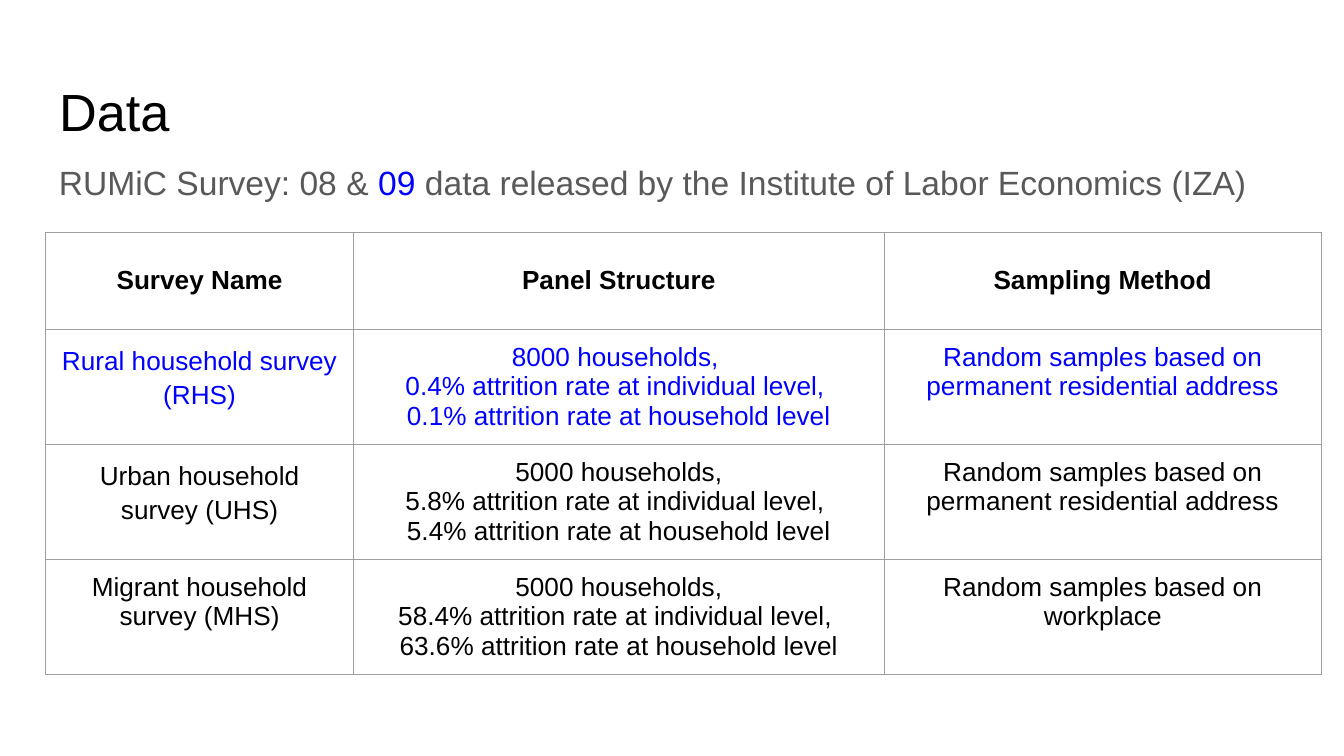
from lxml.etree import SubElement
from pptx import Presentation
from pptx.dml.color import RGBColor
from pptx.enum.text import MSO_ANCHOR, MSO_AUTO_SIZE, PP_ALIGN
from pptx.oxml.ns import qn
from pptx.util import Inches, Pt

BLACK, BLUE, GREY, BORDER = "000000", "0000FF", "595959", "9E9E9E"
INSET = Inches(0.1)
COLS = [2.29, 3.95, 3.25]
ROWS = [0.72, 0.79, 0.79, 0.72]
HEADERS = ["Survey Name", "Panel Structure", "Sampling Method"]
# Name, panel structure, sampling method, colour, line spacing of the name
SURVEYS = [
    ("Rural household survey (RHS)",
     ["8000 households, ", "0.4% attrition rate at individual level, ",
      "0.1% attrition rate at household level"],
     "Random samples based on permanent residential address", BLUE, 1.15),
    ("Urban household survey (UHS)",
     ["5000 households,", "5.8% attrition rate at individual level, ",
      "5.4% attrition rate at household level"],
     "Random samples based on permanent residential address", BLACK, 1.15),
    ("Migrant household survey (MHS)",
     ["5000 households,", "58.4% attrition rate at individual level, ",
      "63.6% attrition rate at household level"],
     "Random samples based on workplace", BLACK, 1.0),
]


def rgb(color):
    return RGBColor.from_string(color)


def write(p, text, size=14, color=BLACK, bold=False, align=PP_ALIGN.LEFT, spacing=1.0):
    p.alignment, p.line_spacing = align, spacing
    r = p.add_run()
    r.text = text
    r.font.name, r.font.size, r.font.bold = "Arial", Pt(size), bold
    r.font.color.rgb = rgb(color)


def set_frame(tf):
    tf.word_wrap, tf.auto_size = True, MSO_AUTO_SIZE.NONE
    tf.vertical_anchor = MSO_ANCHOR.TOP
    tf.margin_left = tf.margin_right = tf.margin_top = tf.margin_bottom = INSET


def add_title(s, x, y, w, h):
    title = s.shapes.title
    title.left, title.top, title.width, title.height = map(Inches, (x, y, w, h))
    set_frame(title.text_frame)
    write(title.text_frame.paragraphs[0], "Data", size=28)


def add_source_line(s, x, y, w, h):
    tf = s.shapes.add_textbox(*map(Inches, (x, y, w, h))).text_frame
    set_frame(tf)
    for text, color in [
        ("RUMiC Survey: 08 & ", GREY),
        ("09", BLUE),
        (" data released by the Institute of Labor Economics (IZA)", GREY),
    ]:
        write(tf.paragraphs[0], text, size=18, color=color, spacing=1.15)


def fill_cell(cell, lines, anchor=MSO_ANCHOR.TOP, **fmt):
    cell.margin_left = cell.margin_right = cell.margin_top = cell.margin_bottom = INSET
    cell.vertical_anchor = anchor
    tf = cell.text_frame
    for i, line in enumerate(lines):
        p = tf.add_paragraph() if i else tf.paragraphs[0]
        write(p, line, align=PP_ALIGN.CENTER, **fmt)
    # Borders come before the fill in the cell properties
    tcPr = cell._tc.get_or_add_tcPr()
    for side in ("lnL", "lnR", "lnT", "lnB"):
        ln = SubElement(tcPr, qn(f"a:{side}"), w=str(Pt(0.75)))
        solid = SubElement(ln, qn("a:solidFill"))
        SubElement(solid, qn("a:srgbClr"), val=BORDER)
    cell.fill.background()


def add_survey_table(s, x, y):
    table = s.shapes.add_table(len(ROWS), len(COLS), Inches(x), Inches(y),
                               Inches(sum(COLS)), Inches(sum(ROWS))).table
    table.first_row = table.horz_banding = False
    for col, w in zip(table.columns, COLS):
        col.width = Inches(w)
    for row, h in zip(table.rows, ROWS):
        row.height = Inches(h)
    # Header row
    for c, header in enumerate(HEADERS):
        fill_cell(table.cell(0, c), [header], anchor=MSO_ANCHOR.MIDDLE, bold=True)
    # One row per survey
    for i, (name, panel, sampling, color, spacing) in enumerate(SURVEYS, 1):
        fill_cell(table.cell(i, 0), [name], color=color, spacing=spacing)
        fill_cell(table.cell(i, 1), panel, color=color)
        fill_cell(table.cell(i, 2), [sampling], color=color)


def main():
    prs = Presentation()
    # Widescreen, 16:9
    prs.slide_width = Inches(10)
    prs.slide_height = prs.slide_width * 9 // 16
    s = prs.slides.add_slide(prs.slide_layouts[5])
    add_title(s, 0.34, 0.49, 9.32, 0.63)
    add_source_line(s, 0.34, 1.06, 9.32, 4.43)
    add_survey_table(s, 0.34, 1.73)
    prs.save("out.pptx")


if __name__ == "__main__":
    main()
